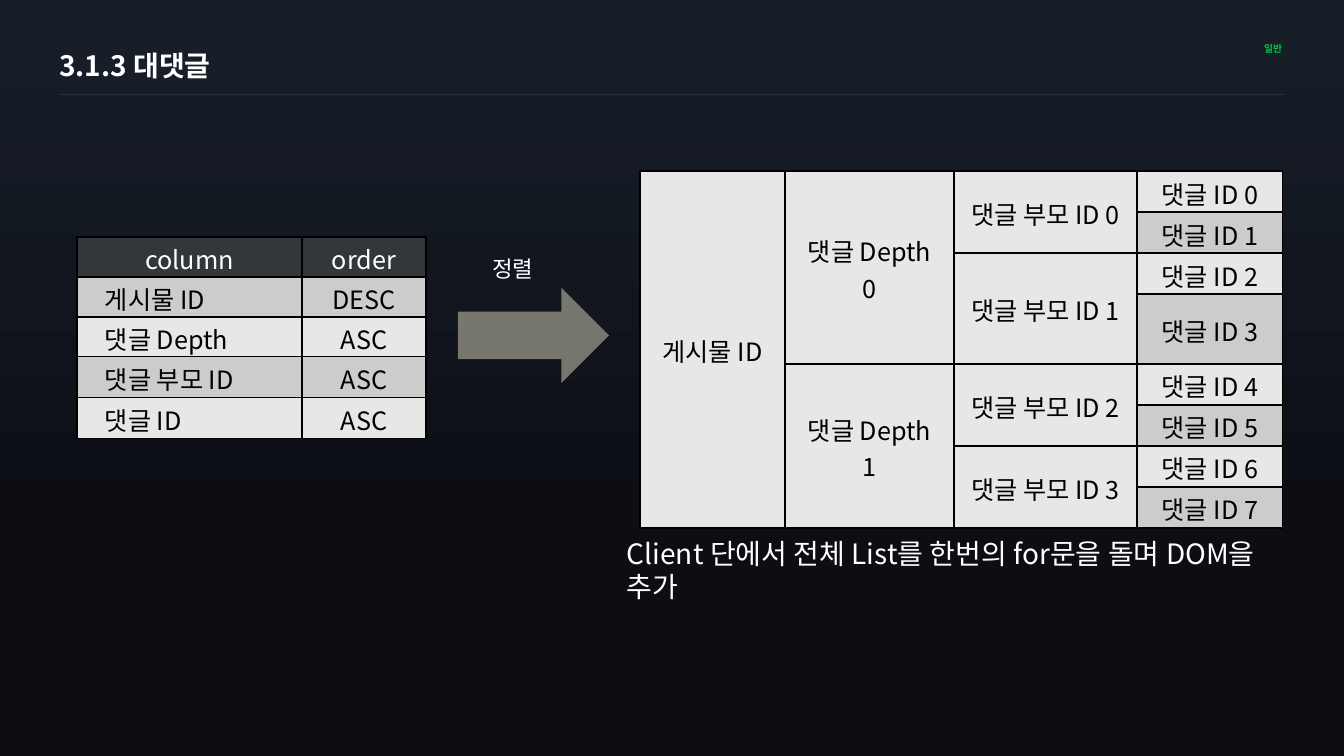
from dataclasses import dataclass

from lxml import etree
from pptx import Presentation
from pptx import util as u
from pptx.dml.color import RGBColor
from pptx.enum import shapes, text
from pptx.oxml.ns import qn

PX = 914400 / 100.8


@dataclass(frozen=True)
class Theme:
    font: str = "Noto Sans CJK KR"
    white: str = "FFFFFF"
    black: str = "000000"
    green: str = "00C73C"
    rule: str = "262E42"
    arrow: str = "DDD9C3"
    header: str = "595959"
    light: str = "E7E7E7"
    dark: str = "CCCCCC"
    sky: str = "171E28"
    ground: str = "0C0E14"
    heading: int = 20
    cell: int = 18
    label: int = 16
    tag: int = 7


T = Theme()
LEFT, CENTER, RIGHT = text.PP_ALIGN.LEFT, text.PP_ALIGN.CENTER, text.PP_ALIGN.RIGHT
TOP, MIDDLE = text.MSO_ANCHOR.TOP, text.MSO_ANCHOR.MIDDLE

TITLE = "3.1.3 대댓글"
TAG = "일반"
SORT_LABEL = "정렬"
CAPTION = "Client 단에서 전체 List를 한번의 for문을 돌며 DOM을 추가"

SORT_ORDER = [
    ("column", "order"),
    ("게시물 ID", "DESC"),
    ("댓글 Depth", "ASC"),
    ("댓글 부모 ID", "ASC"),
    ("댓글 ID", "ASC"),
]
SORT_AT = (77, 237)
SORT_COLS = [225, 124]
SORT_ROWS = [40, 40, 40, 41, 41]

# each level: cell texts from top to bottom, side inset in px
LEVELS = [
    (["게시물 ID"], 10),
    ([f"댓글 Depth {n}" for n in range(2)], 17),
    ([f"댓글 부모 ID {n}" for n in range(4)], 10),
    ([f"댓글 ID {n}" for n in range(8)], 10),
]
TREE_AT = (640, 171)
TREE_COLS = [145, 169, 183, 146]
TREE_ROWS = [41, 41, 41, 70, 41, 41, 41, 41]


def px(n):
    return u.Emu(round(n * PX))


def rgb(code):
    return RGBColor.from_string(code)


def set_alpha(fill, percent):
    color = fill._xPr.find(qn("a:solidFill"))[0]
    etree.SubElement(color, qn("a:alpha"), val=str(percent * 1000))


def write(paragraph, words, size, color, align=LEFT, bold=False):
    paragraph.alignment = align
    run = paragraph.add_run()
    run.text = words
    font = run.font
    font.name, font.size, font.bold = T.font, u.Pt(size), bold
    font.color.rgb = rgb(color)
    etree.SubElement(font._element, qn("a:ea"), typeface=T.font)


def add_text(slide, box, words, size, color=T.white, align=LEFT, bold=False,
             spacing=None, insets=(10, 5), wrap=True):
    frame = slide.shapes.add_textbox(*map(px, box)).text_frame
    frame.word_wrap = wrap
    frame.margin_left = frame.margin_right = px(insets[0])
    frame.margin_top = frame.margin_bottom = px(insets[1])
    write(frame.paragraphs[0], words, size, color, align, bold)
    frame.paragraphs[0].line_spacing = spacing


def add_grid(slide, at, cols, rows):
    table = slide.shapes.add_table(
        len(rows), len(cols), *map(px, (*at, sum(cols), sum(rows)))).table
    for column, width in zip(table.columns, cols):
        column.width = px(width)
    for row, height in zip(table.rows, rows):
        row.height = px(height)
    for cell in table.iter_cells():
        props = cell._tc.get_or_add_tcPr()
        for side in ("lnL", "lnR", "lnT", "lnB"):
            line = etree.SubElement(props, qn("a:" + side), w="12700")
            paint = etree.SubElement(line, qn("a:solidFill"))
            etree.SubElement(paint, qn("a:srgbClr"), val=T.black)
    return table


def fill_cell(cell, words, fill, inset, color=T.black, align=CENTER, anchor=MIDDLE):
    cell.fill.solid()
    cell.fill.fore_color.rgb = rgb(fill)
    cell.margin_left = cell.margin_right = px(inset)
    cell.margin_top, cell.margin_bottom = px(3), 0
    cell.vertical_anchor = anchor
    write(cell.text_frame.paragraphs[0], words, T.cell, color, align)


def add_sort_table(slide):
    table = add_grid(slide, SORT_AT, SORT_COLS, SORT_ROWS)
    for r, record in enumerate(SORT_ORDER):
        for c, words in enumerate(record):
            cell = table.cell(r, c)
            if r == 0:
                fill_cell(cell, words, T.header, 28, T.white, anchor=TOP)
                set_alpha(cell.fill, 48)
            else:
                fill_cell(cell, words, T.dark if r % 2 else T.light, 28,
                          align=CENTER if c else LEFT, anchor=TOP)


def add_tree_table(slide):
    """Each level's cells share the rows evenly; only the last level is banded."""
    table = add_grid(slide, TREE_AT, TREE_COLS, TREE_ROWS)
    for c, (names, inset) in enumerate(LEVELS):
        span = len(TREE_ROWS) // len(names)
        for n, words in enumerate(names):
            cell = table.cell(n * span, c)
            if span > 1:
                cell.merge(table.cell((n + 1) * span - 1, c))
            banded = span == 1 and n % 2
            fill_cell(cell, words, T.dark if banded else T.light, inset)


def add_rule(slide):
    rule = slide.shapes.add_connector(
        shapes.MSO_CONNECTOR.STRAIGHT, px(59), px(94), px(1285), px(94))
    rule.line.color.rgb = rgb(T.rule)
    rule.line.width = u.Pt(0.25)
    etree.SubElement(rule._element.spPr, qn("a:effectLst"))


def add_arrow(slide):
    arrow = slide.shapes.add_shape(
        shapes.MSO_SHAPE.RIGHT_ARROW, px(458), px(288), px(151), px(95))
    arrow.shadow.inherit = False
    arrow.fill.solid()
    arrow.fill.fore_color.rgb = rgb(T.arrow)
    set_alpha(arrow.fill, 50)
    arrow.line.fill.background()


def paint_background(slide):
    fill = slide.background.fill
    fill.gradient()
    fill.gradient_angle = 270
    for stop, color, position in zip(
            fill.gradient_stops, (T.sky, T.ground), (0.05, 0.7)):
        stop.color.rgb = rgb(color)
        stop.position = position


def main():
    deck = Presentation()
    deck.slide_width, deck.slide_height = px(1344), px(756)
    slide = deck.slides.add_slide(deck.slide_layouts[6])
    paint_background(slide)
    add_rule(slide)
    add_text(slide, (1146, 38, 136, 16), TAG, T.tag, T.green, RIGHT, True, 1.4, (0, 0))
    add_sort_table(slide)
    add_text(slide, (59, 32, 1052, 27), TITLE, T.heading, bold=True,
             spacing=1.5, insets=(0, 0))
    add_arrow(slide)
    add_text(slide, (617, 531, 704, 44), CAPTION, T.heading)
    add_tree_table(slide)
    add_text(slide, (482, 250, 66, 37), SORT_LABEL, T.label, wrap=False)
    deck.save("out.pptx")


if __name__ == "__main__":
    main()
